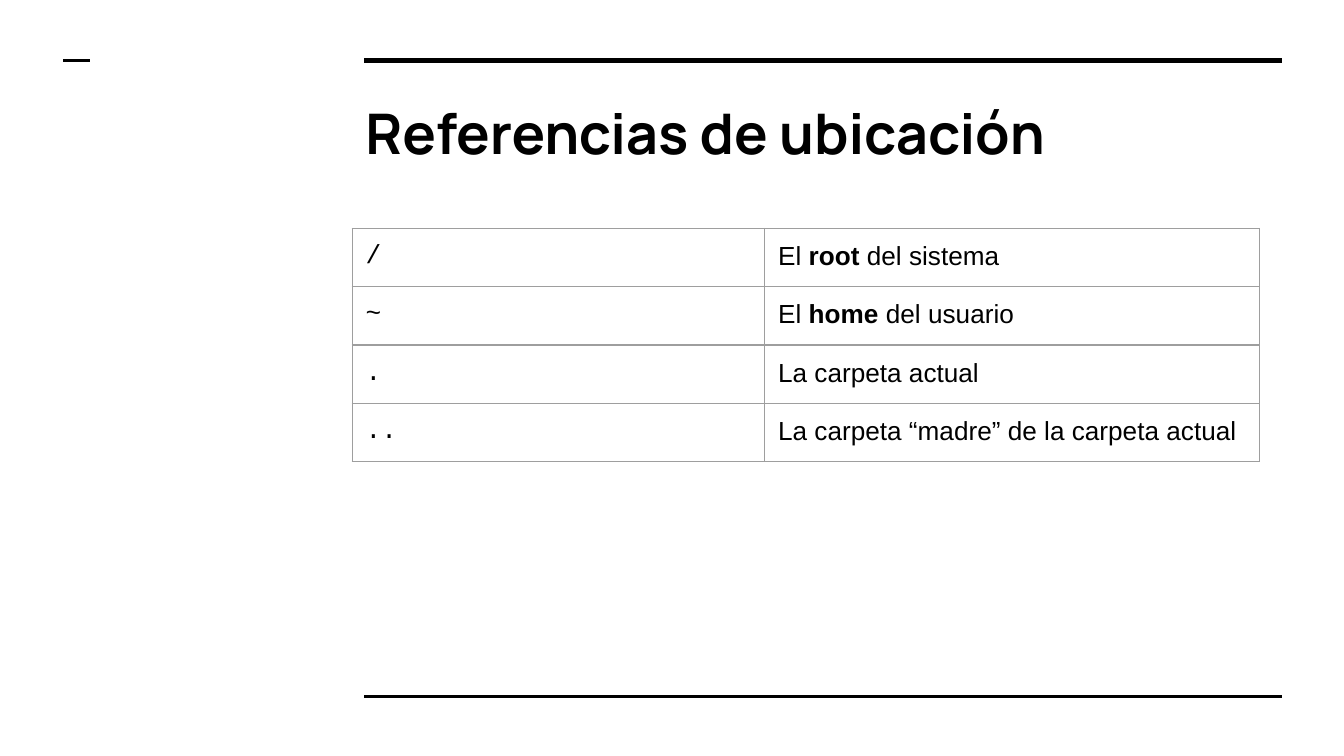
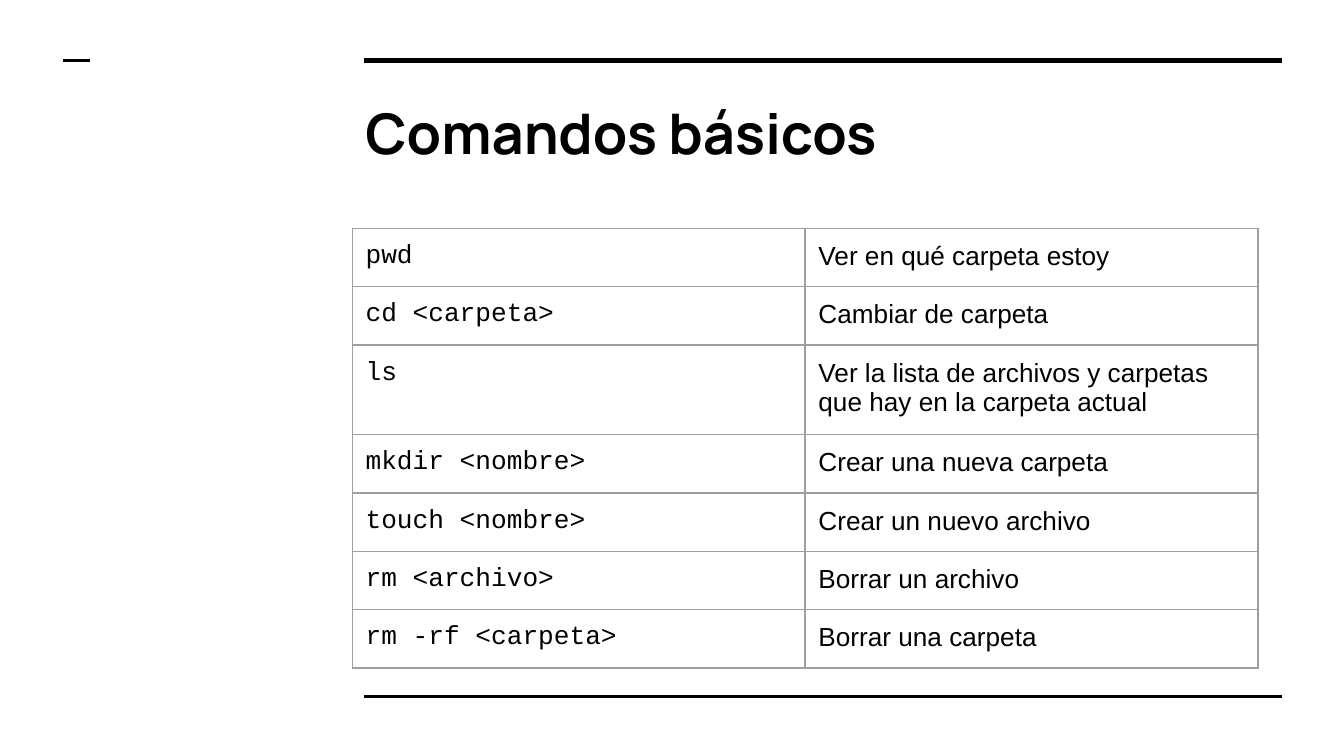
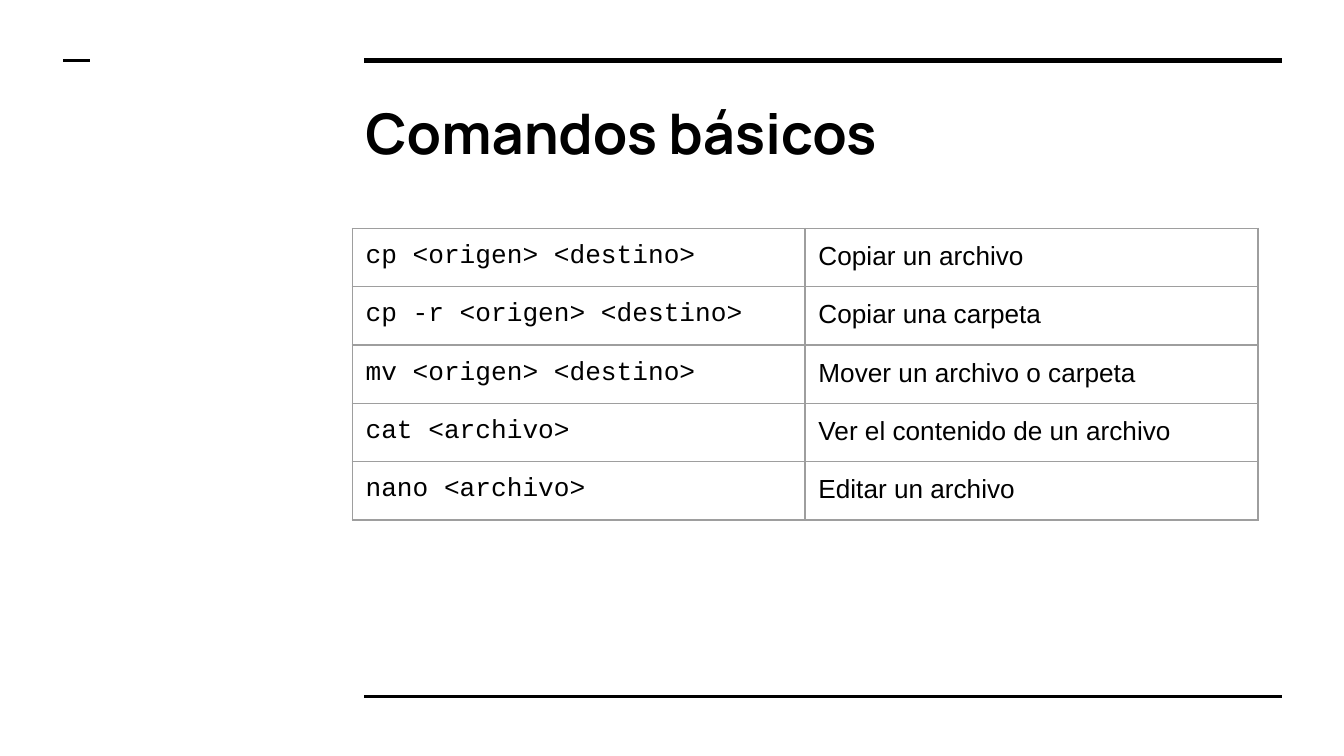
from lxml.etree import SubElement
from pptx import Presentation
from pptx.dml.color import RGBColor
from pptx.enum.shapes import MSO_CONNECTOR
from pptx.enum.text import MSO_ANCHOR
from pptx.oxml import parse_xml
from pptx.oxml.ns import nsdecls, qn
from pptx.util import Inches, Pt

BLACK = RGBColor(0x00, 0x00, 0x00)
WHITE = RGBColor(0xFF, 0xFF, 0xFF)
GRID_GRAY = RGBColor(0x9E, 0x9E, 0x9E)
TITLE_FONT, CODE_FONT, TEXT_FONT = "Manrope", "Courier New", "Arial"

CONTENT_LEFT = 2.62
MARGIN = Inches(0.1)

# Rules on every slide: left, right, height on the slide, weight
RULES = [(2.71, 9.54, 0.45, 3), (2.71, 9.54, 5.18, 1.5), (0.47, 0.67, 0.45, 1.5)]

# Title, column widths, number of taller rows, table rows (** marks bold)
TOPICS = [
    ("Referencias de ubicación", (3.07, 3.68), 2, [
        ("/", "El **root **del sistema"),
        ("~", "El **home **del usuario"),
        (".", "La carpeta actual"),
        ("..", "La carpeta “madre” de la carpeta actual"),
    ]),
    ("Comandos básicos", (3.37, 3.37), 2, [
        ("pwd", "Ver en qué carpeta estoy"),
        ("cd <carpeta>", "Cambiar de carpeta"),
        ("ls", "Ver la lista de archivos y carpetas que hay en la carpeta actual"),
        ("mkdir <nombre>", "Crear una nueva carpeta"),
        ("touch <nombre>", "Crear un nuevo archivo"),
        ("rm <archivo>", "Borrar un archivo"),
        ("rm -rf <carpeta>", "Borrar una carpeta"),
    ]),
    ("Comandos básicos", (3.37, 3.37), 3, [
        ("cp <origen> <destino>", "Copiar un archivo"),
        ("cp -r <origen> <destino>", "Copiar una carpeta"),
        ("mv <origen> <destino>", "Mover un archivo o carpeta"),
        ("cat <archivo>", "Ver el contenido de un archivo"),
        ("nano <archivo>", "Editar un archivo"),
    ]),
]


def set_margins(box):
    box.margin_left = box.margin_right = MARGIN
    box.margin_top = box.margin_bottom = MARGIN


def set_borders(cell):
    properties = cell._tc.get_or_add_tcPr()
    for position, side in enumerate(("lnL", "lnR", "lnT", "lnB")):
        properties.insert(position, parse_xml(
            f'<a:{side} {nsdecls("a")} w="{Pt(0.75)}"><a:solidFill>'
            f'<a:srgbClr val="{GRID_GRAY}"/></a:solidFill></a:{side}>'))


deck = Presentation()
deck.slide_width, deck.slide_height = Inches(10), Inches(5.625)

for heading, widths, tall_rows, entries in TOPICS:
    slide = deck.slides.add_slide(deck.slide_layouts[6])
    slide.background.fill.solid()
    slide.background.fill.fore_color.rgb = WHITE

    # Rules
    for left, right, y, weight in RULES:
        rule = slide.shapes.add_connector(
            MSO_CONNECTOR.STRAIGHT, Inches(left), Inches(y), Inches(right), Inches(y))
        rule.line.color.rgb = BLACK
        rule.line.width = Pt(weight)
        SubElement(rule._element.spPr, qn("a:effectLst"))

    # Title
    title = slide.shapes.add_textbox(
        Inches(CONTENT_LEFT), Inches(0.63), Inches(6.91), Inches(0.69)).text_frame
    title.word_wrap = True
    title.vertical_anchor = MSO_ANCHOR.TOP
    set_margins(title)
    title.text = heading
    title_font = title.paragraphs[0].font
    title_font.name, title_font.size, title_font.bold = TITLE_FONT, Pt(30), True
    title_font.color.rgb = BLACK

    # Table of commands and meanings
    heights = [0.43 if row < tall_rows else 0.42 for row in range(len(entries))]
    commands = slide.shapes.add_table(
        len(entries), 2, Inches(CONTENT_LEFT), Inches(1.7),
        Inches(sum(widths)), Inches(sum(heights))).table
    commands.first_row = commands.horz_banding = False
    for column, width in zip(commands.columns, widths):
        column.width = Inches(width)
    for row, height, entry in zip(commands.rows, heights, entries):
        row.height = Inches(height)
        for cell, text, font_name in zip(row.cells, entry, (CODE_FONT, TEXT_FONT)):
            set_margins(cell)
            cell.fill.background()
            set_borders(cell)
            paragraph = cell.text_frame.paragraphs[0]
            for part, words in enumerate(text.split("**")):
                run = paragraph.add_run()
                run.text = words
                if part % 2:
                    run.font.bold = True
            paragraph.font.name, paragraph.font.size = font_name, Pt(14)
            paragraph.font.color.rgb = BLACK

deck.save("out.pptx")
